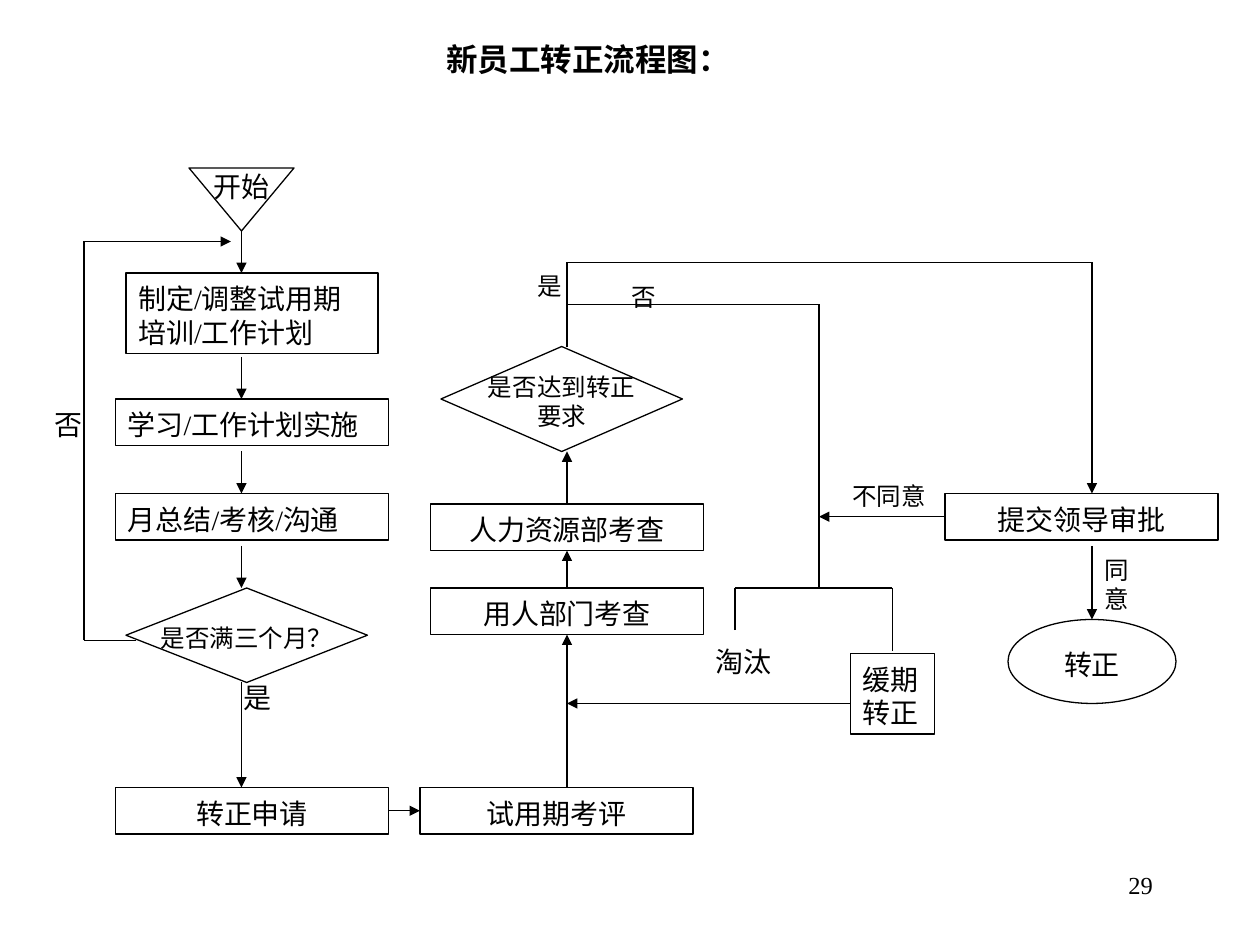
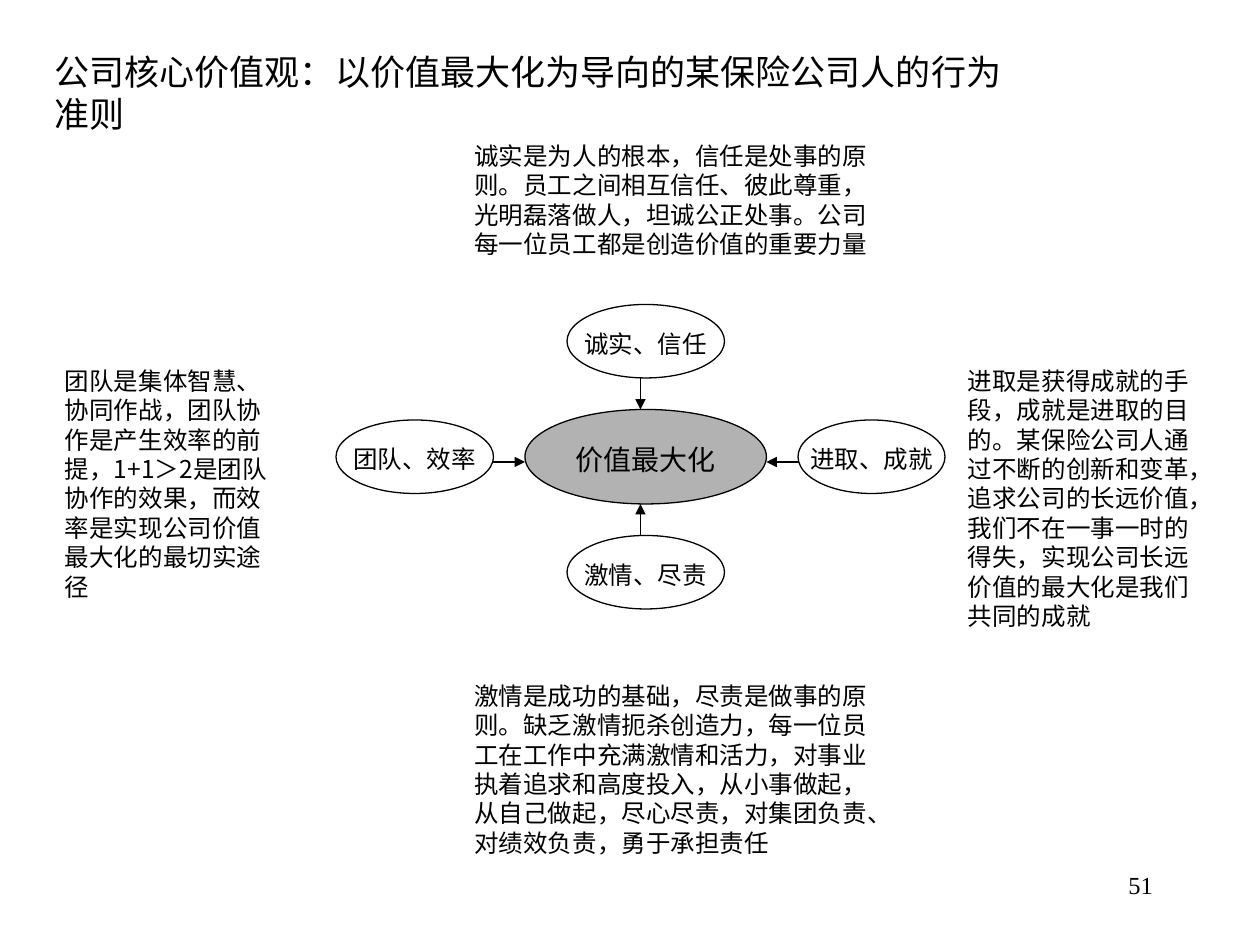
from itertools import pairwise

from lxml.etree import SubElement
from pptx import Presentation
from pptx.dml.color import RGBColor
from pptx.enum.shapes import MSO_CONNECTOR, MSO_SHAPE
from pptx.enum.text import MSO_ANCHOR, MSO_AUTO_SIZE, PP_ALIGN
from pptx.oxml.ns import qn
from pptx.util import Pt

COLORS = {"ink": "000000", "paper": "FFFFFF", "core": "B2B2B2"}
LATIN, HAN = "Times New Roman", "Noto Sans CJK SC"
LINE_PITCH = 1.2
TOP, BOTTOM = 0, 2
LEFT, RIGHT = 1, 3
STEP_WIDTH, STEP_HEIGHT = 156, 26.6
STEP_MIDDLE = STEP_HEIGHT / 2


def color(name):
    return RGBColor.from_string(COLORS[name])


def write(shape, text, size, align=PP_ALIGN.LEFT, anchor=MSO_ANCHOR.TOP,
          wrap=True, bold=False, latin=LATIN):
    frame = shape.text_frame
    frame.text = text
    frame.word_wrap = wrap
    frame.auto_size = MSO_AUTO_SIZE.NONE
    frame.vertical_anchor = anchor
    frame.margin_left = frame.margin_right = Pt(7.2)
    frame.margin_top, frame.margin_bottom = Pt(5), Pt(2.2)
    for paragraph in frame.paragraphs:
        paragraph.alignment = align
        paragraph.line_spacing = Pt(size * LINE_PITCH)
        paragraph.space_before = Pt(0)
        for run in paragraph.runs:
            run.font.size = Pt(size)
            run.font.bold = bold
            run.font.color.rgb = color("ink")
            run.font.name = latin
            properties = run._r.get_or_add_rPr()
            SubElement(properties, qn("a:ea")).set("typeface", HAN)


def add_page(presentation, title, box, size, number, **style):
    slide = presentation.slides.add_slide(presentation.slide_layouts[5])
    heading = slide.shapes.title
    heading.left, heading.top, heading.width, heading.height = map(Pt, box)
    write(heading, title, size, **style)
    add_label(slide, number, (516, 492, 150, 36), 14, align=PP_ALIGN.RIGHT)
    return slide


def add_label(slide, text, box, size=16, **style):
    write(slide.shapes.add_textbox(*map(Pt, box)), text, size, **style)


def add_node(slide, kind, text, box, size=16, fill=None, **style):
    shape = slide.shapes.add_shape(kind, *map(Pt, box))
    shape.shadow.inherit = False
    if fill:
        shape.fill.solid()
        shape.fill.fore_color.rgb = color(fill)
    else:
        shape.fill.background()
    shape.line.color.rgb = color("ink")
    shape.line.width = Pt(0.75)
    write(shape, text, size, **style)
    return shape


def add_symbol(slide, kind, text, box, size=16, fill=None):
    return add_node(slide, kind, text, box, size, fill, align=PP_ALIGN.CENTER,
                    anchor=MSO_ANCHOR.MIDDLE, wrap=False)


def add_step(slide, text, left, top, align=PP_ALIGN.CENTER):
    box = (left, top, STEP_WIDTH, STEP_HEIGHT)
    return add_node(slide, MSO_SHAPE.RECTANGLE, text, box, align=align)


def add_path(slide, points, arrow=True, begin=None, end=None):
    """Draw straight segments through the points, with an arrowhead at the last one."""
    for start, stop in pairwise(points):
        connector = slide.shapes.add_connector(
            MSO_CONNECTOR.STRAIGHT, *map(Pt, (*start, *stop)))
        connector.line.color.rgb = color("ink")
        connector.line.width = Pt(0.75)
        properties = connector._element.spPr
        SubElement(properties, qn("a:effectLst"))
        if begin and start == points[0]:
            connector.begin_connect(*begin)
        if stop == points[-1]:
            if end:
                connector.end_connect(*end)
            if arrow:
                line = properties.find(qn("a:ln"))
                SubElement(line, qn("a:tailEnd")).set("type", "triangle")


def add_trial_column(slide):
    start = add_symbol(slide, MSO_SHAPE.FLOWCHART_MERGE, "开始", (108, 96, 60, 36))
    add_node(slide, MSO_SHAPE.RECTANGLE, "制定/调整试用期培训/工作计划", (72, 156, 144, 46))
    add_step(slide, "学习/工作计划实施", 66, 228, PP_ALIGN.LEFT)
    add_step(slide, "月总结/考核/沟通", 66, 282, PP_ALIGN.LEFT)
    add_symbol(slide, MSO_SHAPE.FLOWCHART_DECISION, "是否满三个月？", (72, 336, 138, 54), 14)
    add_path(slide, [(138, 132), (138, 156)], begin=(start, BOTTOM))
    for top, bottom in ((204, 228), (258, 282), (312, 336), (390, 450)):
        add_path(slide, [(138, top), (138, bottom)])
    add_path(slide, [(78, 366), (48, 366), (48, 138), (132, 138)])
    add_label(slide, "否", (24, 228, 30, 26.6))
    add_label(slide, "是", (132, 384, 30, 26.6))


def add_review_column(slide):
    application = add_step(slide, "转正申请", 66, 450)
    appraisal = add_step(slide, "试用期考评", 240, 450)
    department = add_step(slide, "用人部门考查", 246, 336)
    personnel = add_step(slide, "人力资源部考查", 246, 288)
    add_symbol(slide, MSO_SHAPE.FLOWCHART_DECISION, "是否达到转正\n要求", (252, 198, 138, 60), 14)
    middle = 450 + STEP_MIDDLE
    add_path(slide, [(222, middle), (240, middle)],
             begin=(application, RIGHT), end=(appraisal, LEFT))
    add_path(slide, [(324, 450), (324, 362.6)], end=(department, BOTTOM))
    add_path(slide, [(324, 336), (324, 314.6)],
             begin=(department, TOP), end=(personnel, BOTTOM))
    add_path(slide, [(324, 288), (324, 258)], begin=(personnel, TOP))


def add_outcomes(slide):
    approval = add_step(slide, "提交领导审批", 540, 282)
    confirmed = add_symbol(slide, MSO_SHAPE.OVAL, "转正", (576, 354, 96, 48))
    add_node(slide, MSO_SHAPE.RECTANGLE, "缓期转正", (486, 373.5, 48, 46))
    add_path(slide, [(324, 198), (324, 150), (624, 150), (624, 282)])
    add_path(slide, [(624, 312), (624, 354)], end=(confirmed, TOP))
    middle = 282 + STEP_MIDDLE
    add_path(slide, [(540, middle), (468, middle)], begin=(approval, LEFT))
    add_path(slide, [(324, 174), (468, 174), (468, 336)], arrow=False)
    add_path(slide, [(420, 360), (420, 336), (510, 336), (510, 372)], arrow=False)
    add_path(slide, [(486, 402), (324, 402)])
    add_label(slide, "淘汰", (402, 363.5, 54, 26.6))
    for text, box in (
        ("是", (300, 150, 24, 24)),
        ("否", (354, 156, 30, 24)),
        ("不同意", (480, 270, 78, 24)),
        ("同意", (624, 312, 36, 41)),
    ):
        add_label(slide, text, box, 14)


def add_values(slide):
    for text, box in (
        ("诚实是为人的根本，信任是处事的原则。员工之间相互信任、彼此尊重，光明磊落做人，"
         "坦诚公正处事。公司每一位员工都是创造价值的重要力量", (264, 75.5, 252, 75)),
        ("团队是集体智慧、协同作战，团队协作是产生效率的前提，1+1＞2是团队协作的效果，"
         "而效率是实现公司价值最大化的最切实途径", (30, 204, 138, 142)),
        ("进取是获得成就的手段，成就是进取的目的。某保险公司人通过不断的创新和变革，"
         "追求公司的长远价值，我们不在一事一时的得失，实现公司长远价值的最大化是我们共同的成就",
         (546, 204, 146, 158.5)),
        ("激情是成功的基础，尽责是做事的原则。缺乏激情扼杀创造力，每一位员工在工作中充满激情和活力，"
         "对事业执着追求和高度投入，从小事做起，从自己做起，尽心尽责，对集团负责、对绩效负责，"
         "勇于承担责任", (264, 384, 240, 108)),
    ):
        add_label(slide, text, box, 14, latin=HAN)
    add_symbol(slide, MSO_SHAPE.OVAL, "价值最大化", (300, 234, 138, 54), fill="core")
    for points in (
        [(366, 216), (366, 234)],
        [(276, 264), (300, 264)],
        [(468, 264), (438, 264)],
        [(366, 306), (366, 288)],
    ):
        add_path(slide, points)
    for text, left, top, width in (
        ("诚实、信任", 324, 174, 90),
        ("团队、效率", 192, 240, 90),
        ("进取、成就", 456, 240, 84),
        ("激情、尽责", 324, 306, 90),
    ):
        add_symbol(slide, MSO_SHAPE.OVAL, text, (left, top, width, 42), 14, "paper")


def main():
    presentation = Presentation()
    presentation.slide_width, presentation.slide_height = Pt(720), Pt(540)
    flow = add_page(presentation, "新员工转正流程图：", (216, 18, 240, 29), 18, "29",
                    align=PP_ALIGN.CENTER, bold=True)
    add_trial_column(flow)
    add_review_column(flow)
    add_outcomes(flow)
    values = add_page(presentation, "公司核心价值观：以价值最大化为导向的某保险公司人的行为准则",
                      (24, 24, 558, 55.5), 20, "51")
    add_values(values)
    presentation.save("out.pptx")


if __name__ == "__main__":
    main()
